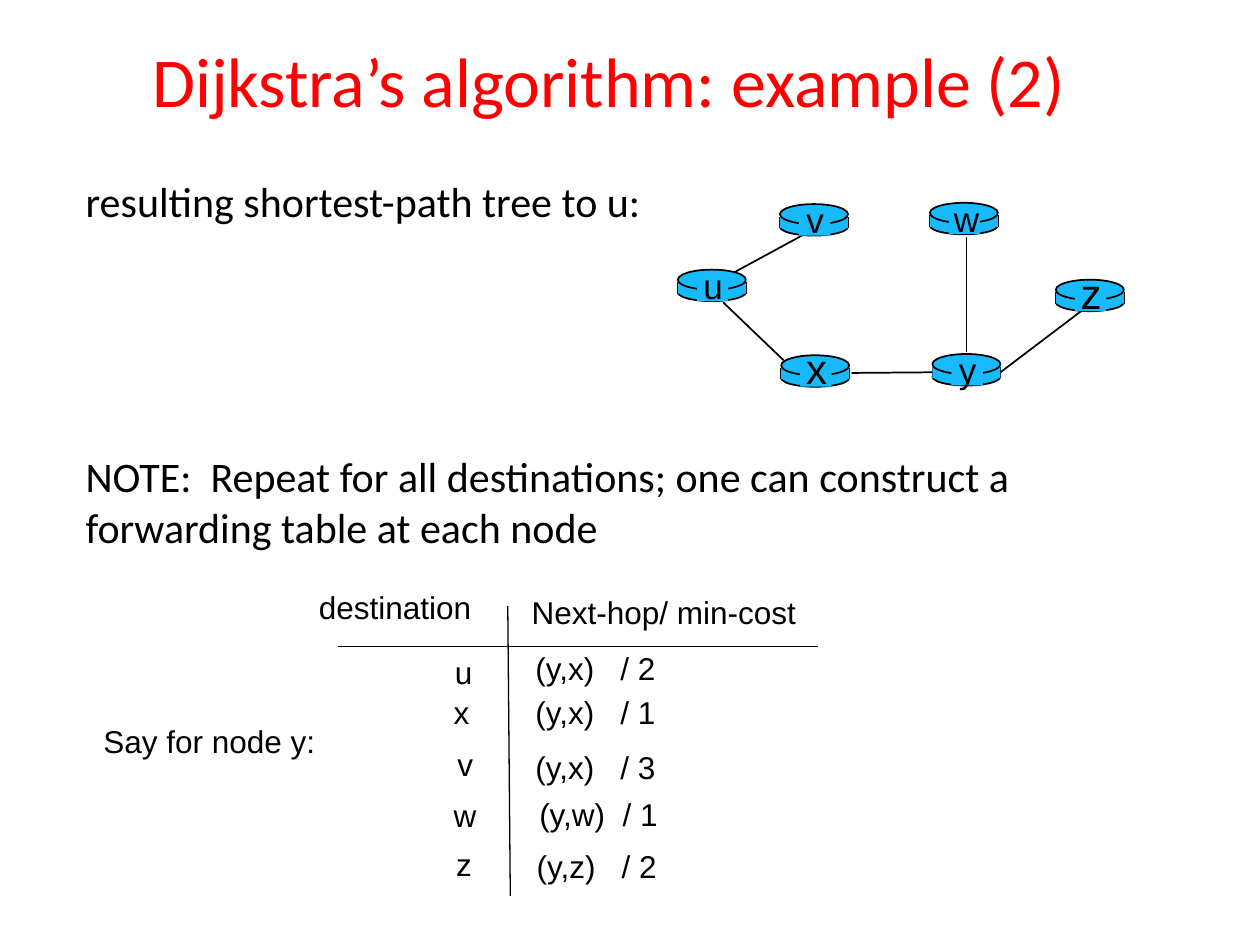
"""Build the slide with the shortest-path tree and the forwarding table of node y."""
from lxml.etree import SubElement
from pptx import Presentation
from pptx.dml.color import RGBColor
from pptx.enum.shapes import MSO_CONNECTOR as Connector, MSO_SHAPE as Preset
from pptx.enum.text import MSO_ANCHOR as Anchor, MSO_AUTO_SIZE as AutoSize, PP_ALIGN as Align
from pptx.oxml.ns import qn
from pptx.util import Inches, Pt

COLORS = {"title": "FF0000", "ink": "000000", "router": "17BBFD"}
ROUTER_WIDTH, SIDE_HEIGHT = 0.54, 0.09

ROUTERS = {
    "u": (5.38, 2.24, 20),
    "x": (6.20, 2.92, 24),
    "v": (6.19, 1.72, 20),
    "w": (7.38, 1.71, 20),
    "y": (7.40, 2.91, 20),
    "z": (8.38, 2.32, 24),
}
EDGES = [
    ((7.67, 1.88), (7.67, 2.79), None),
    ((7.94, 2.94), (8.58, 2.47), ("y", 3)),
    ((7.40, 2.96), (6.76, 2.96), ("y", 1)),
    ((6.22, 2.86), (5.74, 2.40), None),
]
TABLE_RULES = [((4.03, 4.81), (4.05, 7.11)), ((2.68, 5.13), (6.49, 5.13))]
TABLE_TEXTS = [
    ("u", 3.56, 5.13, 0.25),
    ("x", 3.55, 5.45, 0.24),
    ("v", 3.58, 5.86, 0.24),
    ("w", 3.55, 6.27, 0.29),
    ("z", 3.57, 6.66, 0.24),
    ("(y,x)   / 2", 4.20, 5.10, 1.07),
    ("(y,x)   / 1", 4.20, 5.45, 1.07),
    ("(y,x)   / 3", 4.20, 5.89, 1.07),
    ("(y,w)  / 1", 4.23, 6.26, 1.05),
    ("(y,z)   / 2", 4.21, 6.67, 1.07),
    ("destination", 2.48, 4.62, 1.32),
    ("Next-hop/ min-cost", 4.17, 4.66, 2.21),
]


def color(name):
    return RGBColor.from_string(COLORS[name])


def style_text(frame, text, size, font, ink="ink", align=Align.LEFT):
    frame.margin_left = frame.margin_right = Inches(0.05)
    frame.margin_top = frame.margin_bottom = Inches(0.05)
    frame.text = text
    para = frame.paragraphs[0]
    para.alignment = align
    para.font.size, para.font.name = Pt(size), font
    para.font.color.rgb = color(ink)


def add_text(shapes, text, place, size=18, font="Arial", align=Align.LEFT, wrap=False):
    frame = shapes.add_textbox(*map(Inches, place)).text_frame
    frame.word_wrap = wrap
    frame.auto_size = AutoSize.SHAPE_TO_FIT_TEXT
    style_text(frame, text, size, font, align=align)


def add_line(shapes, start, end, width=1):
    line = shapes.add_connector(Connector.STRAIGHT, *map(Inches, start + end))
    line.line.color.rgb = color("ink")
    line.line.width = Pt(width)
    SubElement(line._element.spPr, qn("a:effectLst"))
    return line


def add_shape(shapes, preset, place, outlined=False):
    shape = shapes.add_shape(preset, *map(Inches, place))
    shape.shadow.inherit = False
    shape.fill.solid()
    shape.fill.fore_color.rgb = color("router")
    if outlined:
        shape.line.color.rgb = color("ink")
        shape.line.width = Pt(1)
    else:
        shape.line.fill.background()
    return shape


def add_router(shapes, left, top):
    add_shape(shapes, Preset.OVAL, (left, top + 0.01, ROUTER_WIDTH, 0.14), True)
    for side in (left, left + ROUTER_WIDTH):
        add_line(shapes, (side, top), (side, top + SIDE_HEIGHT))
    body = add_shape(shapes, Preset.RECTANGLE, (left, top, ROUTER_WIDTH, SIDE_HEIGHT))
    add_shape(shapes, Preset.OVAL, (left, top - 0.1, ROUTER_WIDTH, 0.16), True)
    return body


def add_router_label(shapes, name, left, top, size):
    add_shape(shapes, Preset.RECTANGLE, (left + 0.15, top - 0.08, 0.25, 0.23))
    rise, height = (0.19, 0.41) if size == 20 else (0.25, 0.48)
    add_text(shapes, name, (left + 0.14, top - rise, 0.28, height), size, align=Align.CENTER)


def add_tree(shapes):
    add_line(shapes, (5.83, 2.16), (6.42, 1.84))
    bodies = {name: add_router(shapes, left, top) for name, (left, top, _) in ROUTERS.items()}
    for start, end, dock in EDGES:
        edge = add_line(shapes, start, end)
        if dock:
            edge.begin_connect(bodies[dock[0]], dock[1])
    for name, (left, top, size) in ROUTERS.items():
        add_router_label(shapes, name, left, top, size)


def add_forwarding_table(shapes):
    for start, end in TABLE_RULES:
        add_line(shapes, start, end, 0.75)
    for text, left, top, width in TABLE_TEXTS:
        add_text(shapes, text, (left, top, width, 0.38))


def add_title(page):
    title = page.shapes.title
    title.left, title.top, title.width, title.height = map(Inches, (0.58, 0.17, 8.5, 0.93))
    title.text_frame.vertical_anchor = Anchor.MIDDLE
    style_text(title.text_frame, "Dijkstra’s algorithm: example (2)", 40, "Calibri", "title", Align.CENTER)


def main():
    deck = Presentation()
    deck.slide_width, deck.slide_height = Inches(10), Inches(7.5)
    page = deck.slides.add_slide(deck.slide_layouts[5])
    add_title(page)
    add_tree(page.shapes.add_group_shape().shapes)
    add_text(page.shapes, "resulting shortest-path tree to u:", (0.63, 1.34, 4.82, 0.5), 24, "Calibri")
    add_forwarding_table(page.shapes.add_group_shape().shapes)
    note = "NOTE:  Repeat for all destinations; one can construct a forwarding table at each node"
    add_text(page.shapes, note, (0.63, 3.53, 8.64, 0.91), 24, "Calibri", wrap=True)
    add_text(page.shapes, "Say for node y:", (0.77, 5.68, 1.79, 0.43))
    deck.save("out.pptx")


if __name__ == "__main__":
    main()
